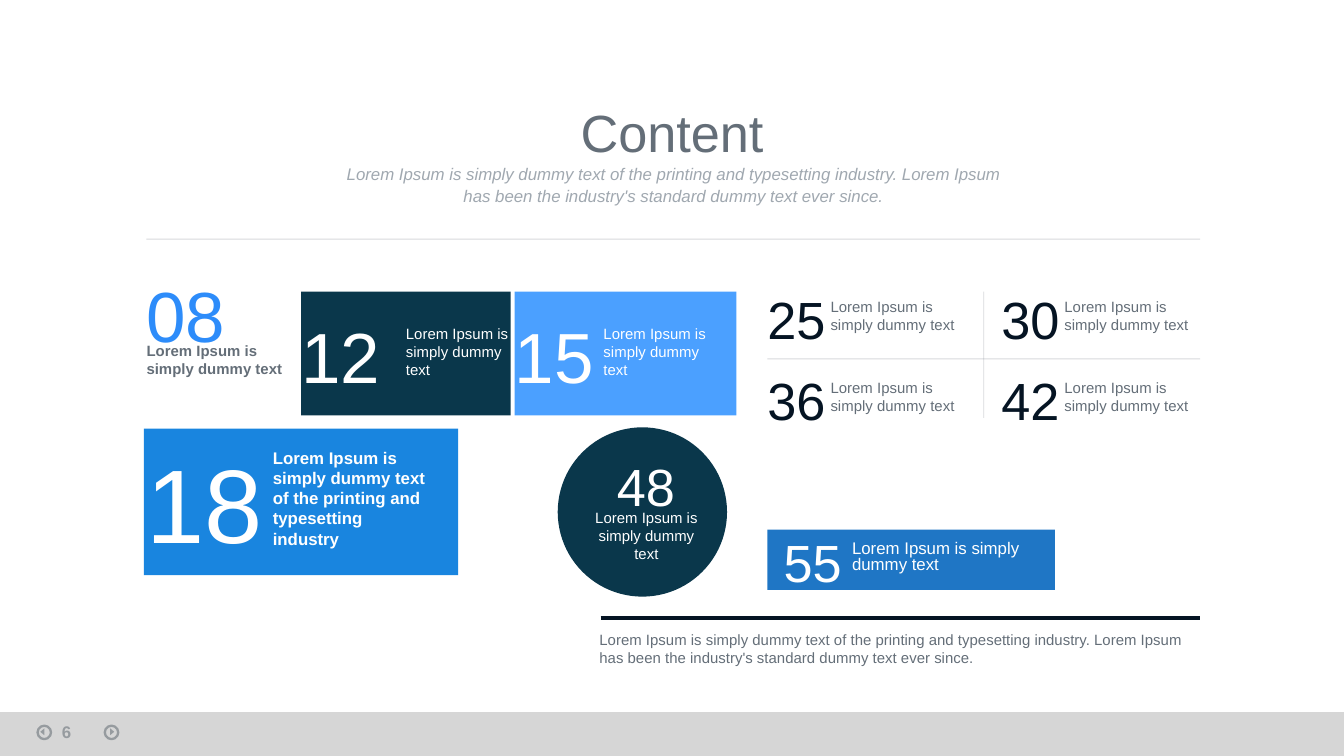
from pptx import Presentation
from pptx import util as u
from pptx.dml.color import RGBColor
from pptx.enum import shapes, text
from pptx.oxml import ns, xmlchemy as xc

CELL = 0.1
COLS, ROWS = 100, 56.25

WHITE = RGBColor(0xFF, 0xFF, 0xFF)
INK = RGBColor(0x05, 0x14, 0x23)
GRAY = RGBColor(0x64, 0x6E, 0x78)
PALE = RGBColor(0xA0, 0xA8, 0xB0)
BAR = RGBColor(0xD2, 0xD2, 0xD2)
NAVY = RGBColor(0x0A, 0x37, 0x4B)
SKY = RGBColor(0x4B, 0xA0, 0xFF)
AZURE = RGBColor(0x2D, 0x8C, 0xFA)
BLUE = RGBColor(0x00, 0x78, 0xDC)
ROYAL = RGBColor(0x00, 0x64, 0xBE)

SHORT = "Lorem Ipsum is simply dummy text"
MID = SHORT + " of the printing and typesetting industry"
LONG = (MID + ". Lorem Ipsum has been the industry's standard "
        "dummy text ever since.")

FRAME = dict(word_wrap=True, auto_size=text.MSO_AUTO_SIZE.NONE,
             vertical_anchor=text.MSO_ANCHOR.MIDDLE, margin_left=0,
             margin_right=0, margin_top=0, margin_bottom=0)
MID_AL = text.PP_ALIGN.CENTER
LEFT_AL = text.PP_ALIGN.LEFT
KIND = shapes.MSO_SHAPE


def grid(*cells):
    return [u.Inches(round(c * CELL, 3)) for c in cells]


def apply(item, form):
    for name, value in form.items():
        setattr(item, name, value)


def fade(item, share):
    for clr in item.iter(ns.qn("a:srgbClr")):
        alpha = xc.OxmlElement("a:alpha")
        alpha.set("val", str(round(share * 1000)))
        clr.append(alpha)


def write(box, words, size, color, align=LEFT_AL, space=None, **form):
    frame = box.text_frame
    apply(frame, FRAME)
    para = frame.paragraphs[0]
    apply(para, dict(alignment=align, line_spacing=space,
                     space_before=u.Pt(0)))
    run = para.add_run()
    run.text = words
    apply(run.font, dict(name="Arial", size=u.Pt(size), **form))
    run.font.color.rgb = color
    return run


def label(slide, cells, *args, **form):
    box = slide.shapes.add_textbox(*grid(*cells))
    return write(box, *args, **form)


def fill_in(holder, cells, *args, **form):
    names = ("left", "top", "width", "height")
    apply(holder, dict(zip(names, grid(*cells))))
    write(holder, *args, align=MID_AL, **form)


def block(slide, kind, cells, color, share=100, turn=0):
    item = slide.shapes.add_shape(kind, *grid(*cells))
    item.shadow.inherit = False
    item.rotation = turn
    item.fill.solid()
    item.fill.fore_color.rgb = color
    item.line.fill.background()
    if share < 100:
        fade(item._element, share)


def rule(slide, ends, color=GRAY, width=0.5, share=25):
    line = slide.shapes.add_connector(shapes.MSO_CONNECTOR.STRAIGHT,
                                      *grid(*ends))
    line.line.color.rgb = color
    line.line.width = u.Pt(width)
    if share < 100:
        fade(line._element, share)
    line._element.spPr.append(xc.OxmlElement("a:effectLst"))


def button(slide, col, tip, turn):
    ring = slide.shapes.add_shape(KIND.OVAL, *grid(col, 54, 1, 1))
    ring.shadow.inherit = False
    ring.fill.background()
    ring.line.color.rgb = INK
    ring.line.width = u.Pt(1.25)
    fade(ring._element, 30)
    block(slide, KIND.ISOSCELES_TRIANGLE, (tip, 54.3, 0.5, 0.3),
          INK, 30, turn)


def footer(slide):
    block(slide, KIND.RECTANGLE, (0, 53, COLS, ROWS - 53), BAR, 90)
    button(slide, 7.8, 8.1, 90)
    button(slide, 2.8, 2.9, 270)
    run = label(slide, (4.6, 53.4, 2.2, 2.1), "6", 9, INK, bold=True)
    fade(run._r, 30)


def header(slide):
    fill_in(slide.shapes.title, (10.5, 7.2, 79, 5.2), "Content", 28, GRAY)
    fill_in(slide.placeholders[1], (25, 11.9, 50.2, 3.5), LONG, 9, PALE,
            space=u.Pt(12), italic=True)
    rule(slide, (10.9, 17.8, 89.3, 17.8))


def tiles(slide):
    label(slide, (10.9, 20, 8, 6.7), "08", 38, AZURE)
    label(slide, (10.9, 24.5, 10.9, 4.5), SHORT, 8, GRAY, bold=True)
    for left, wide, color, num, gap in ((22.4, 15.6, NAVY, "12", 7.8),
                                        (38.3, 16.5, SKY, "15", 6.6)):
        block(slide, KIND.RECTANGLE, (left, 21.7, wide, 9.2), color)
        label(slide, (left, 23.1, 6.8, 6.7), num, 38, WHITE)
        label(slide, (left + gap, 23.9, 8.2, 4.5), SHORT, 8, WHITE)


def matrix(slide):
    rule(slide, (57.1, 26.7, 89.3, 26.7))
    rule(slide, (73.2, 21.7, 73.2, 31.1))
    for row, pair in enumerate((("25", "30"), ("36", "42"))):
        for col, num in enumerate(pair):
            left, top = 57.1 + col * 17.4, 21.1 + row * 6
            label(slide, (left, top, 4.9, 5.2), num, 28, INK)
            label(slide, (left + 4.7, top + 0.8, 11, 3.2), SHORT, 8, GRAY)


def cards(slide):
    block(slide, KIND.RECTANGLE, (10.7, 31.9, 23.4, 10.9), BLUE, 90)
    label(slide, (10.9, 32.4, 8.9, 9.8), "18", 56, WHITE)
    label(slide, (20.3, 33.7, 11.9, 6.7), MID, 9, WHITE, bold=True)

    block(slide, KIND.OVAL, (41.5, 31.8, 12.6, 12.6), NAVY)
    label(slide, (45.6, 33.5, 4.9, 5.2), "48", 28, WHITE, align=MID_AL)
    label(slide, (44.2, 37.6, 7.8, 4.5), SHORT, 8, WHITE, align=MID_AL)

    block(slide, KIND.RECTANGLE, (57.1, 39.4, 21.4, 4.5), ROYAL, 88)
    label(slide, (58.3, 39.2, 4.9, 5.2), "55", 28, WHITE)
    label(slide, (63.4, 39.9, 13, 3.2), SHORT, 9, WHITE, space=0.8)


def closing(slide):
    rule(slide, (44.7, 46, 89.3, 46), INK, 2, 100)
    label(slide, (44.6, 46.5, 44.5, 3.5), LONG, 8, GRAY)


def main():
    deck = Presentation()
    deck.slide_width, deck.slide_height = grid(COLS, ROWS)
    slide = deck.slides.add_slide(deck.slide_layouts[0])
    for part in (footer, header, tiles, matrix, cards, closing):
        part(slide)
    deck.save("out.pptx")


if __name__ == "__main__":
    main()
